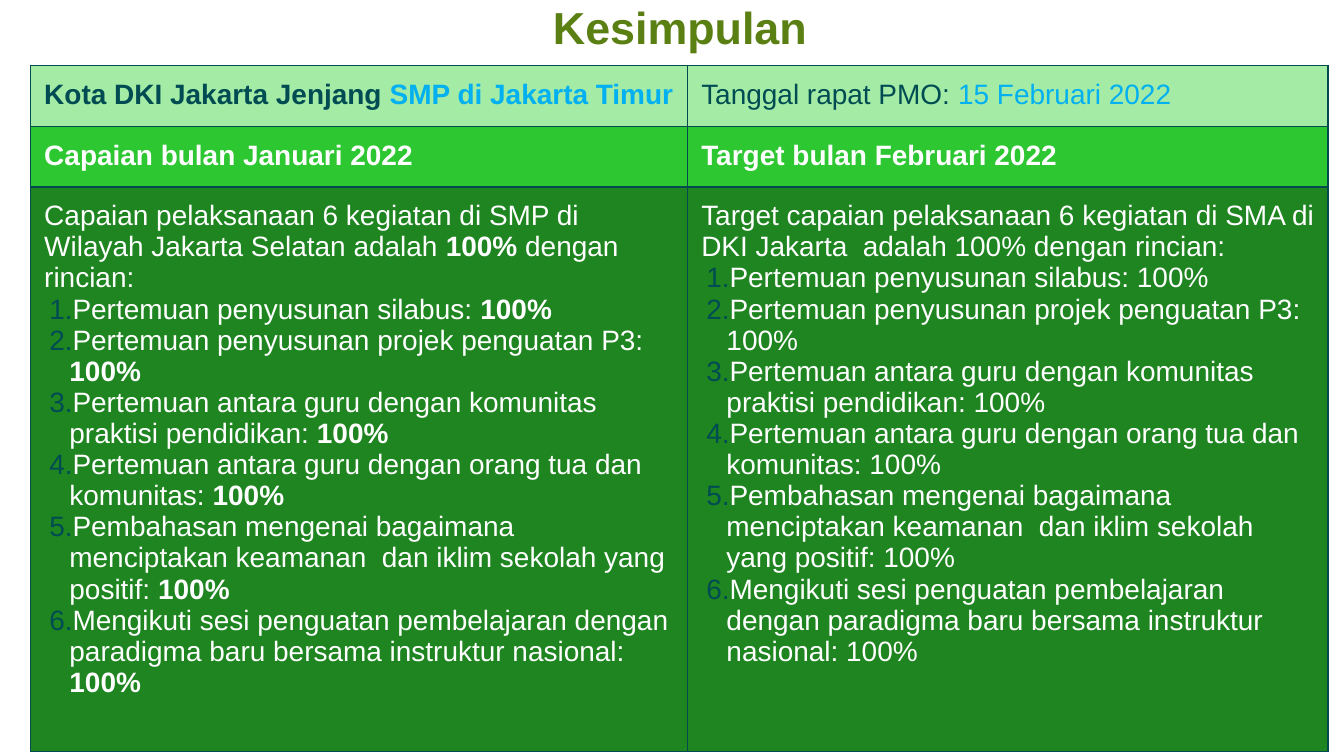
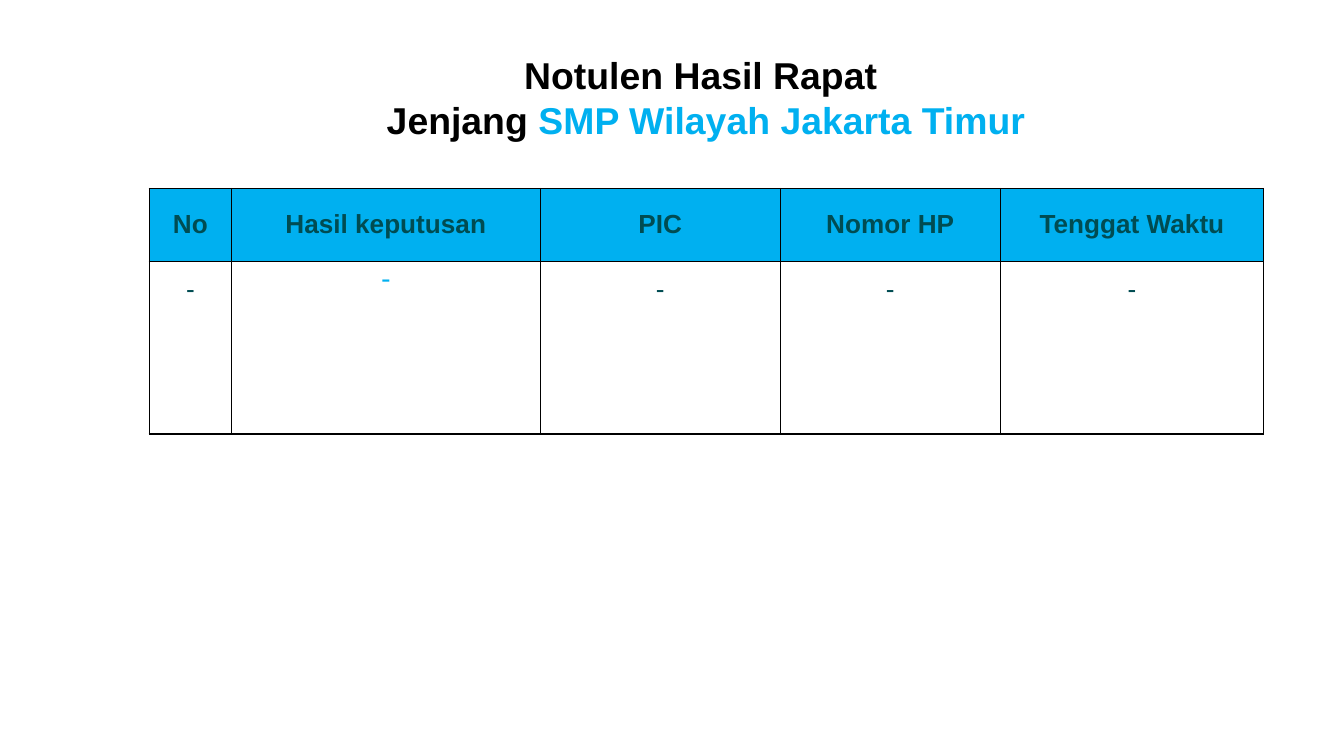
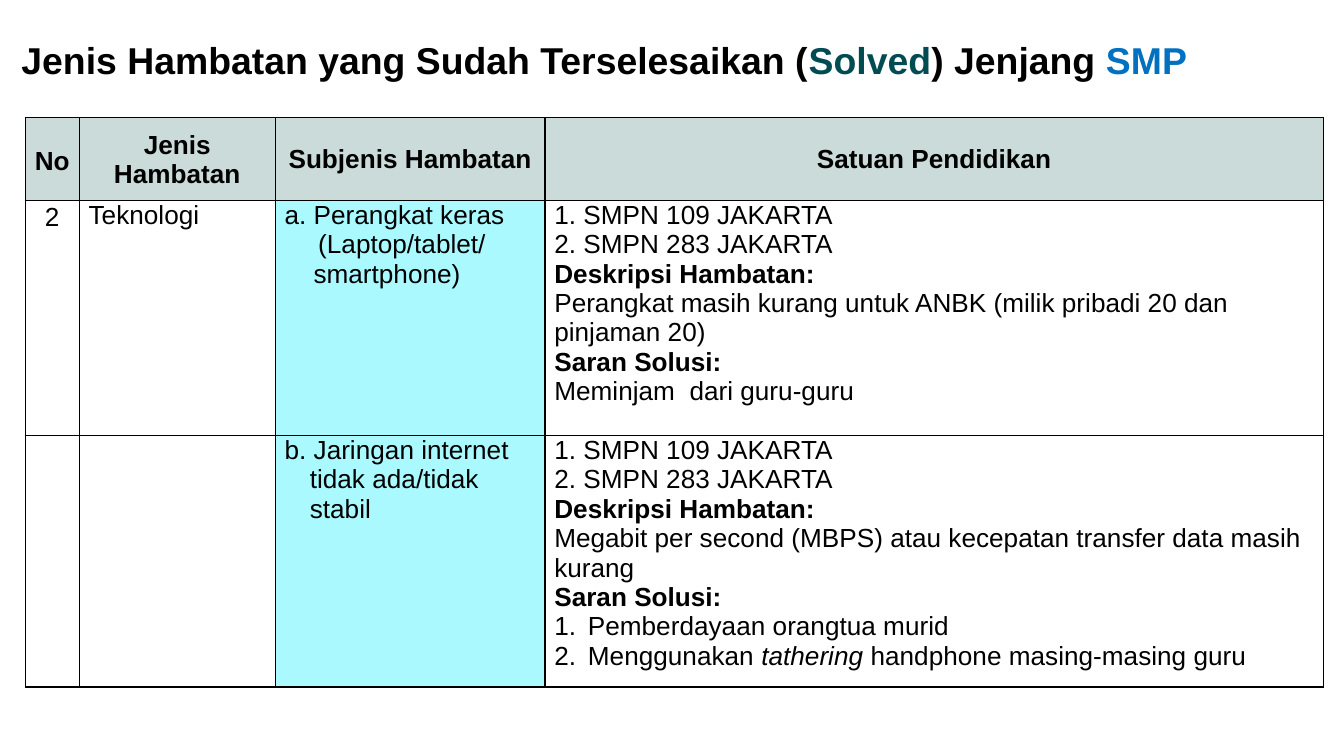
import pptx
import pptx.dml.color
import pptx.enum.text
import pptx.oxml.ns
import pptx.util
from lxml import etree

Pt = pptx.util.Pt
TEAL, SKY, BLACK, WHITE = "004C52", "00B0F0", "000000", "FFFFFF"
EDGE, OLIVE, BLUE = "004A50", "5A7F12", "0070C0"
MINT, GREEN, FOREST = "A4EBA6", "2DC731", "1E8520"
GREY, AQUA = "CADBD9", "A9F9FF"
BOLD = {"bold": True}
WIDE, SLIM, THIN = (7.2,) * 4, (5, 0, 5, 0), (0.7, 0.7, 0.7, 0)

STEPS = [
    "Pertemuan penyusunan silabus: ",
    "Pertemuan penyusunan projek penguatan P3: ",
    "Pertemuan antara guru dengan komunitas praktisi pendidikan: ",
    "Pertemuan antara guru dengan orang tua dan komunitas: ",
    "Pembahasan mengenai bagaimana menciptakan keamanan  dan iklim sekolah yang positif: ",
    "Mengikuti sesi penguatan pembelajaran dengan paradigma baru bersama instruktur nasional: ",
]
SCHOOLS = ["1. SMPN 109 JAKARTA", "2. SMPN 283 JAKARTA"]


def rgb(code):
    """Turn a hex string into a colour."""
    return pptx.dml.color.RGBColor.from_string(code)


def line(*runs, **look):
    """Describe one paragraph: its runs and its layout."""
    return runs, look


def cell(*lines, fill=None, pad=WIDE, mid=False, **base):
    """Describe one table cell."""
    return {"lines": lines, "fill": fill, "pad": pad, "mid": mid, "base": base}


def add_run(para, text, size=14, font="Arial", color=BLACK, bold=False, slant=False):
    """Add one styled run."""
    run = para.add_run()
    run.text = text
    face = run.font
    face.size, face.name, face.bold, face.italic = Pt(size), font, bold, slant
    face.color.rgb = rgb(color)


def add_mark(props, color):
    """Number a paragraph, with the digits in the given colour."""
    tint = etree.SubElement(props, pptx.oxml.ns.qn("a:buClr"))
    etree.SubElement(tint, pptx.oxml.ns.qn("a:srgbClr"), val=color)
    etree.SubElement(props, pptx.oxml.ns.qn("a:buFont"), typeface="Arial")
    etree.SubElement(props, pptx.oxml.ns.qn("a:buAutoNum"), type="arabicPeriod")


def add_para(para, runs, base, center=False, left=0, hang=0, mark=None, space=None):
    """Fill one paragraph run by run."""
    if center:
        para.alignment = pptx.enum.text.PP_ALIGN.CENTER
    if space:
        para.line_spacing = space
    props = para._p.get_or_add_pPr()
    props.set("marL", str(Pt(left)))
    props.set("indent", str(Pt(-hang)))
    if mark:
        add_mark(props, mark)
    for run in runs:
        text, style = (run, {}) if isinstance(run, str) else run
        add_run(para, text, **{**base, **style})


def fill_text(frame, lines, base):
    """Write all paragraphs into a text frame."""
    for index, (runs, look) in enumerate(lines):
        para = frame.add_paragraph() if index else frame.paragraphs[0]
        add_para(para, runs, base, **look)


def set_pad(part, pad):
    """Set the margins of a cell or text frame."""
    part.margin_left, part.margin_top, part.margin_right, part.margin_bottom = map(Pt, pad)


def add_title(slide, box, lines, pad=(5, 3, 5, 3), mid=False, **base):
    """Add a bold slide title."""
    frame = slide.shapes.add_textbox(*map(Pt, box)).text_frame
    frame.word_wrap = True
    set_pad(frame, pad)
    if mid:
        frame.vertical_anchor = pptx.enum.text.MSO_ANCHOR.MIDDLE
    fill_text(frame, lines, {"size": 20, **BOLD, **base})


def add_edge(spot, color):
    """Draw all four borders of a cell."""
    props = spot._tc.get_or_add_tcPr()
    for side in ("lnL", "lnR", "lnT", "lnB"):
        edge = etree.SubElement(props, pptx.oxml.ns.qn("a:" + side), w=str(Pt(0.75)))
        solid = etree.SubElement(edge, pptx.oxml.ns.qn("a:solidFill"))
        etree.SubElement(solid, pptx.oxml.ns.qn("a:srgbClr"), val=color)


def add_grid(slide, left, top, cols, rows, cells, edge=BLACK, **base):
    """Add a table with the given sizes and cells."""
    box = map(Pt, (left, top, sum(cols), sum(rows)))
    table = slide.shapes.add_table(len(rows), len(cols), *box).table
    table.first_row = table.horz_banding = False
    for col, width in zip(table.columns, cols):
        col.width = Pt(width)
    for row, height, items in zip(table.rows, rows, cells):
        row.height = Pt(height)
        for spot, item in zip(row.cells, items):
            add_edge(spot, edge)
            set_pad(spot, item["pad"])
            if item["fill"]:
                spot.fill.solid()
                spot.fill.fore_color.rgb = rgb(item["fill"])
            else:
                spot.fill.background()
            if item["mid"]:
                spot.vertical_anchor = pptx.enum.text.MSO_ANCHOR.MIDDLE
            fill_text(spot.text_frame, item["lines"], {**base, **item["base"]})


def add_sum(slide):
    """Build the summary slide."""
    def step(*runs):
        return line(*runs, left=13.5, hang=10.8, mark=TEAL)

    add_title(slide, (16.5, 0, 695.5, 33), [line("Kesimpulan", center=True, space=0.9)],
              size=24, color=OLIVE)
    done = [line("Capaian pelaksanaan 6 kegiatan di SMP di Wilayah Jakarta Selatan adalah ",
                 ("100% ", BOLD), "dengan rincian:")]
    done += [step(text, ("100%", BOLD)) for text in STEPS]
    goal = [line("Target capaian pelaksanaan 6 kegiatan di SMA di DKI Jakarta  "
                 "adalah 100% dengan rincian:")]
    goal += [step(text + "100%") for text in STEPS]
    cells = [
        [cell(line("Kota DKI Jakarta Jenjang ", ("SMP di Jakarta Timur", {"color": SKY})),
              fill=MINT, color=TEAL, bold=True),
         cell(line("Tanggal rapat PMO: ", ("15 Februari 2022", {"color": SKY})),
              fill=MINT, color=TEAL)],
        [cell(line(text), fill=GREEN, bold=True)
         for text in ("Capaian bulan Januari 2022", "Target bulan Februari 2022")],
        [cell(*lines, fill=FOREST) for lines in (done, goal)],
    ]
    add_grid(slide, 16.5, 35.3, [352, 343], [31, 31, 281], cells, edge=EDGE,
             size=15, color=WHITE)


def add_notes(slide):
    """Build the slide with the minutes."""
    heads = ["No", "Hasil keputusan", "PIC", "Nomor HP", "Tenggat Waktu"]
    dash = line("-", center=True)
    blanks = [cell(dash) for _ in heads]
    blanks[1] = cell(dash, pad=SLIM, size=16, font="Calibri", color=SKY)
    cells = [[cell(line(text, center=True), fill=SKY, mid=True, bold=True) for text in heads],
             blanks]
    add_grid(slide, 80, 101, [44, 165.5, 128.5, 118, 141], [39, 92.5], cells, color=TEAL)
    add_title(slide, (97, 21, 562.5, 63.5),
              [line("Notulen Hasil Rapat ", center=True),
               line("Jenjang ", ("SMP Wilayah Jakarta Timur", {"color": SKY}), center=True)],
              pad=WIDE)


def add_solved(slide):
    """Build the slide with the solved obstacles."""
    def report(issue, *fixes):
        lines = [line(text) for text in SCHOOLS]
        lines += [line(("Deskripsi Hambatan:", BOLD)), line(issue),
                  line(("Saran Solusi:", BOLD)), *fixes]
        return cell(*lines, pad=SLIM)

    def fix(*runs):
        return line(*runs, left=18, hang=18, mark=BLACK)

    add_title(slide, (6.5, 0.5, 666, 65.5),
              [line("Jenis Hambatan yang Sudah Terselesaikan (", ("Solved", {"color": TEAL}),
                    ") Jenjang ", ("SMP", {"color": BLUE}), space=0.9)], mid=True)
    heads = ["Jenis Hambatan", "Subjenis Hambatan", "Satuan Pendidikan"]
    cells = [
        [cell(line("No", center=True), fill=GREY, pad=(0, 2, 0, 0), mid=True, bold=True)]
        + [cell(line(text, center=True), fill=GREY, pad=THIN, mid=True, bold=True)
           for text in heads],
        [cell(line("2", center=True, space=1.07), pad=(0, 0, 0, 0)),
         cell(line("Teknologi"), pad=SLIM),
         cell(line("a. Perangkat keras (Laptop/tablet/", left=18, hang=18),
              line("smartphone)", left=15.5), fill=AQUA, pad=SLIM),
         report("Perangkat masih kurang untuk ANBK (milik pribadi 20 dan pinjaman 20)",
                line("Meminjam  dari guru-guru"))],
        [cell(), cell(),
         cell(line("b. Jaringan internet tidak ada/tidak stabil", left=13.5, hang=13.5),
              fill=AQUA, pad=SLIM),
         report("Megabit per second (MBPS) atau kecepatan transfer data masih kurang",
                fix("Pemberdayaan orangtua murid"),
                fix("Menggunakan ", ("tathering ", {"slant": True}),
                    "handphone masing-masing guru"))],
    ]
    add_grid(slide, 13.5, 63, [29, 105, 144.5, 417], [44.5, 126, 126], cells)


def main():
    """Build and save the slides."""
    deck = pptx.Presentation()
    deck.slide_width, deck.slide_height = Pt(720), Pt(405)
    for build in (add_sum, add_notes, add_solved):
        build(deck.slides.add_slide(deck.slide_layouts[6]))
    deck.save("out.pptx")


if __name__ == "__main__":
    main()
